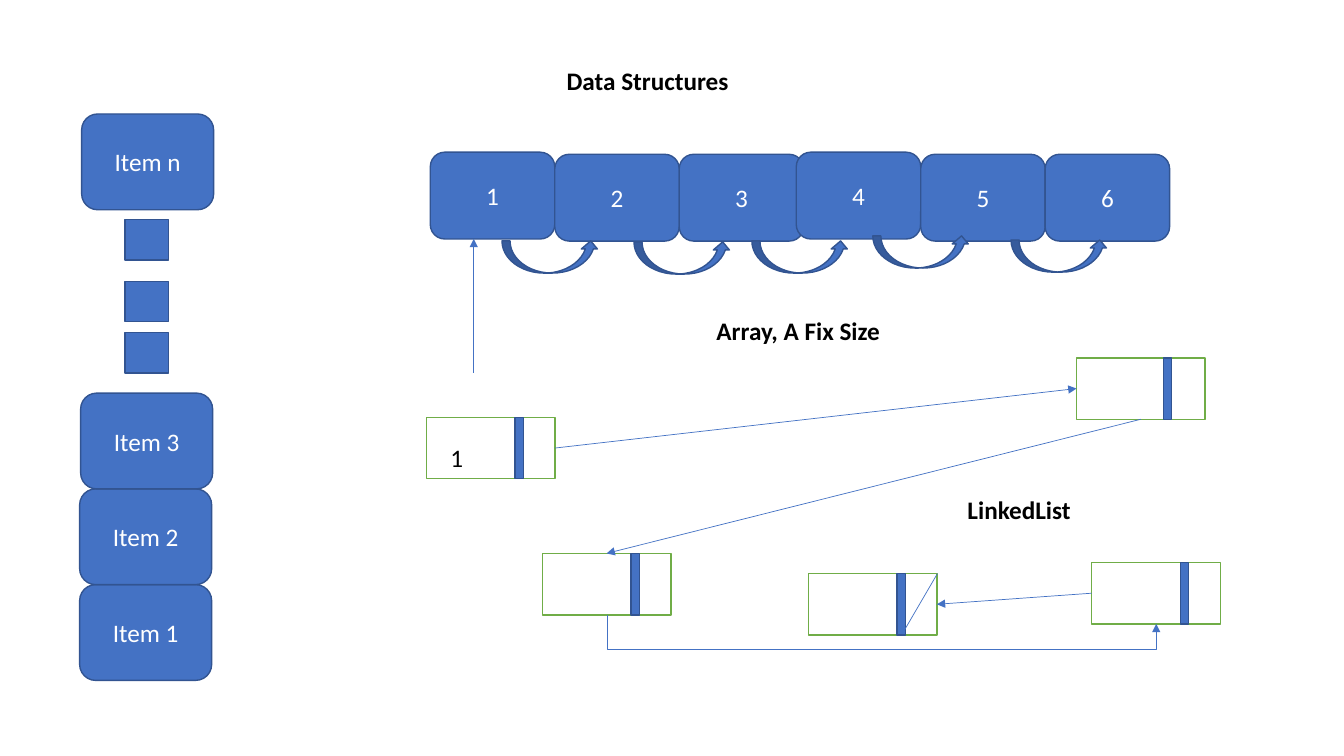
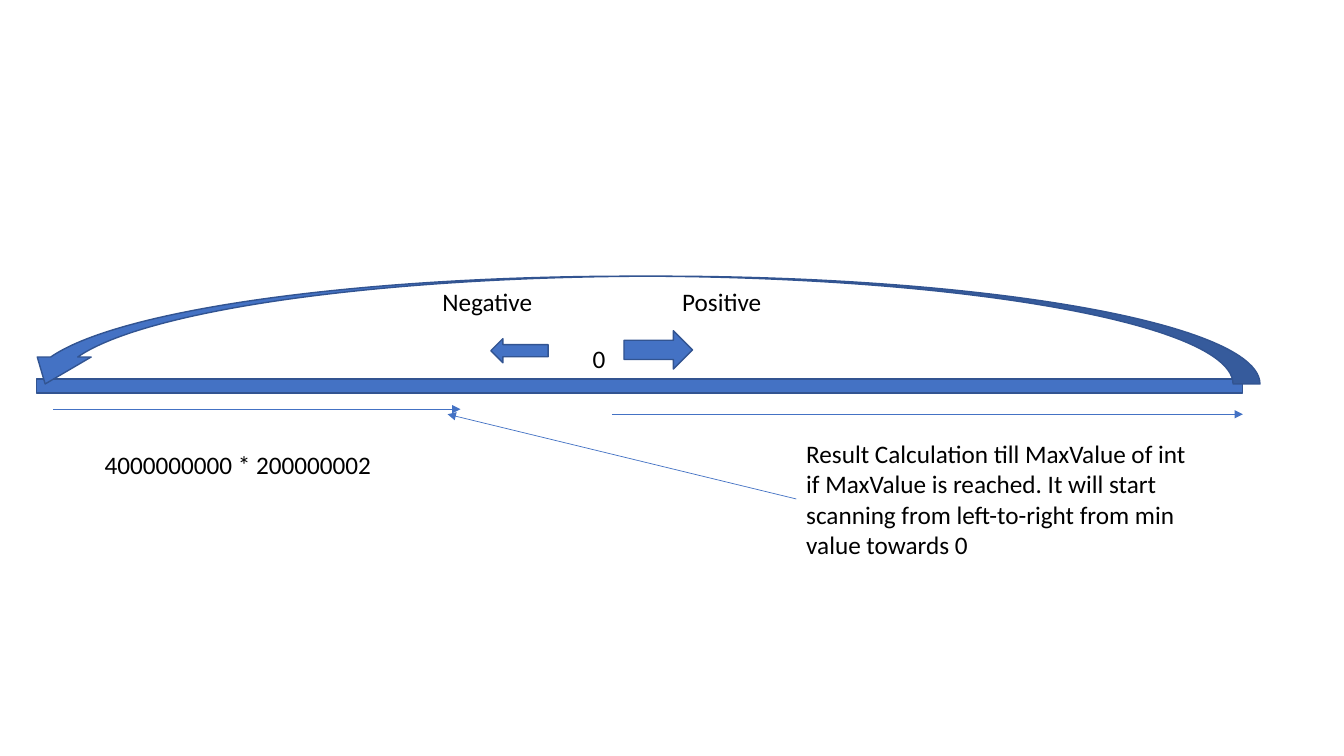
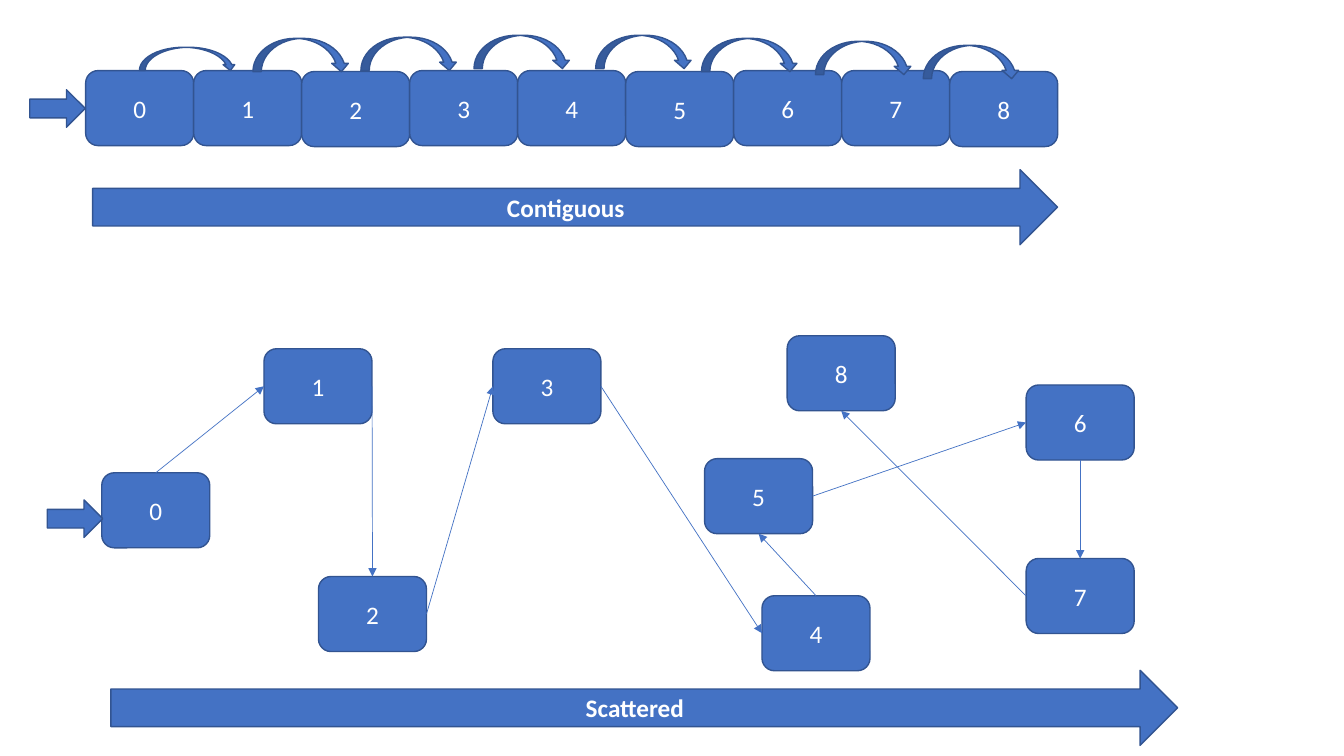
from lxml import etree
from pptx import Presentation
from pptx.dml.color import RGBColor
from pptx.enum.shapes import MSO_CONNECTOR, MSO_SHAPE
from pptx.enum.text import MSO_ANCHOR, PP_ALIGN
from pptx.oxml.ns import qn
from pptx.util import Pt

RECTANGLE = MSO_SHAPE.RECTANGLE
ROUNDED = MSO_SHAPE.ROUNDED_RECTANGLE
RIGHT_ARROW = MSO_SHAPE.RIGHT_ARROW
LEFT_ARROW = MSO_SHAPE.LEFT_ARROW
CURVED_UP = MSO_SHAPE.CURVED_UP_ARROW
CURVED_DOWN = MSO_SHAPE.CURVED_DOWN_ARROW
STRAIGHT = MSO_CONNECTOR.STRAIGHT
ELBOW = MSO_CONNECTOR.ELBOW
CENTER = PP_ALIGN.CENTER
LEFT_ALIGN = PP_ALIGN.LEFT
TOP, LEFT, BOTTOM, RIGHT = range(4)  # connection sites of a box

BLUE = RGBColor(0x44, 0x72, 0xC4)
DARK_BLUE = RGBColor(0x32, 0x54, 0x91)
GREEN = RGBColor(0x70, 0xAD, 0x47)
WHITE = RGBColor(0xFF, 0xFF, 0xFF)
BLACK = RGBColor(0x00, 0x00, 0x00)
FONT = "Calibri"
FONT_SIZE = Pt(18)


def add_block(slide, kind, left, top, width, height, text="", bold=False,
              fill=BLUE, outline=DARK_BLUE):
    shape = slide.shapes.add_shape(kind, Pt(left), Pt(top), Pt(width), Pt(height))
    shape.shadow.inherit = False
    shape.fill.solid()
    shape.fill.fore_color.rgb = fill
    shape.line.color.rgb = outline
    shape.line.width = Pt(1)
    if text:
        shape.text_frame.text = text
        shape.text_frame.vertical_anchor = MSO_ANCHOR.MIDDLE
        paragraph = shape.text_frame.paragraphs[0]
        paragraph.alignment = CENTER
        paragraph.font.name = FONT
        paragraph.font.size = FONT_SIZE
        paragraph.font.bold = bold
        paragraph.font.color.rgb = WHITE
    return shape


def add_link(slide, begin=(0, 0), end=(0, 0), kind=STRAIGHT, arrow=True):
    """Draw a thin connector; its ends may be glued to blocks afterwards."""
    link = slide.shapes.add_connector(
        kind, Pt(begin[0]), Pt(begin[1]), Pt(end[0]), Pt(end[1]))
    link.line.color.rgb = BLUE
    link.line.width = Pt(0.5)
    properties = link._element.spPr
    if arrow:
        etree.SubElement(properties.find(qn("a:ln")), qn("a:tailEnd"), type="triangle")
    etree.SubElement(properties, qn("a:effectLst"))
    return link


presentation = Presentation()
presentation.slide_width = Pt(960)
presentation.slide_height = Pt(540)
title_only, blank = presentation.slide_layouts[5], presentation.slide_layouts[6]

# Slide 1: stack, array and linked list
structures = presentation.slides.add_slide(title_only)
title = structures.shapes.title
title.left, title.top, title.width, title.height = Pt(51.1), Pt(43.2), Pt(823), Pt(28.8)
title.text_frame.text = "Data Structures"
title.text_frame.vertical_anchor = MSO_ANCHOR.TOP
paragraph = title.text_frame.paragraphs[0]
paragraph.alignment = CENTER
paragraph.font.name = FONT
paragraph.font.size = FONT_SIZE
paragraph.font.bold = True
paragraph.font.color.rgb = BLACK

for text, left, top in [("Item 1", 56.9, 417.6), ("Item 2", 56.9, 349.2),
                        ("Item 3", 57.6, 280.8), ("Item n", 58.3, 81.4)]:
    add_block(structures, ROUNDED, left, top, 94.3, 68.4, text)
for top in (237.6, 200.9, 157):
    add_block(structures, RECTANGLE, 89.3, top, 31, 28.8)

CELL_WIDTH = 88.9
for index in range(6):
    group, position = divmod(index, 3)
    left = (307.4, 568.8)[group] + position * CELL_WIDTH
    top = 110.2 if position else 108.7
    add_block(structures, ROUNDED, left, top, CELL_WIDTH, 62, str(index + 1))
for left, top in [(358.6, 172.1), (452.9, 172.8), (537.1, 172.1),
                  (623.5, 168.5), (722.2, 171.4)]:
    add_block(structures, CURVED_UP, left, top, 69.1, 23)
add_link(structures, (338.4, 266.4), (338.4, 170.6))

list_nodes = []
for left, top, divider in [(304.6, 298.1, 63.4), (769, 255.6, 61.9), (387.4, 395.3, 63.4),
                           (779.8, 401.8, 63.4), (577.4, 409.7, 63.4)]:
    list_nodes.append(add_block(structures, RECTANGLE, left, top, 91.8, 43.9,
                                fill=WHITE, outline=GREEN))
    add_block(structures, RECTANGLE, left + divider, top, 5.8, 43.9)
list_sites = [(RIGHT, LEFT), (BOTTOM, TOP), (BOTTOM, BOTTOM), (LEFT, RIGHT)]
for source, target, (source_site, target_site) in zip(list_nodes, list_nodes[1:], list_sites):
    bent = source_site == target_site
    link = add_link(structures, kind=ELBOW if bent else STRAIGHT)
    link.begin_connect(source, source_site)
    link.end_connect(target, target_site)
    if bent:
        # A U-shaped route is an elbow turned by 270 degrees and mirrored
        link.left, link.top, link.width, link.height = Pt(626.4), Pt(246.2), Pt(6.5), Pt(392.4)
        properties = link._element.spPr
        frame = properties.find(qn("a:xfrm"))
        frame.set("rot", "16200000")
        frame.set("flipH", "1")
        adjustments = properties.find(qn("a:prstGeom")).find(qn("a:avLst"))
        etree.SubElement(adjustments, qn("a:gd"), name="adj1", fmla="val 383400")
add_link(structures, (669.6, 409.7), (644.4, 452.9), arrow=False)

# Slide 2: integer overflow on the number line
overflow = presentation.slides.add_slide(blank)
add_block(overflow, RECTANGLE, 25.9, 270.7, 861.8, 10.1)
add_block(overflow, LEFT_ARROW, 350.6, 241.9, 41, 17.3)
add_block(overflow, RIGHT_ARROW, 445.7, 236.2, 49, 27.4)
wrap_arrow = add_block(overflow, CURVED_DOWN, 13, 197.3, 887, 77)
wrap_arrow._element.spPr.find(qn("a:xfrm")).set("flipH", "1")
for begin, end in [((437, 295.9), (887.8, 295.9)), ((38.2, 292.3), (329, 292.3)),
                   ((568.8, 356.4), (319.7, 295.9))]:
    add_link(overflow, begin, end)

# Slide 3: contiguous and scattered memory
memory = presentation.slides.add_slide(blank)
BLOCK_WIDTH, BLOCK_HEIGHT = 77.15, 53.6
for index in range(9):
    top = 51.1 if index % 3 == 2 else 50.4
    add_block(memory, ROUNDED, 61.2 + index * BLOCK_WIDTH, top,
              BLOCK_WIDTH, BLOCK_HEIGHT, str(index))

scattered_blocks = []
for index, (left, top) in enumerate([
        (72.7, 337.7), (188.6, 249.1), (227.5, 411.8), (352.1, 249.1), (544.3, 425.5),
        (503.3, 327.6), (733, 275), (733, 398.9), (562.3, 239.8)]):
    scattered_blocks.append(add_block(memory, ROUNDED, left, top,
                                      BLOCK_WIDTH, BLOCK_HEIGHT, str(index)))
scattered_sites = [(TOP, LEFT), (RIGHT, TOP), (RIGHT, LEFT), (RIGHT, LEFT),
                   (TOP, BOTTOM), (RIGHT, LEFT), (BOTTOM, TOP), (LEFT, BOTTOM)]
for source, target, (source_site, target_site) in zip(
        scattered_blocks, scattered_blocks[1:], scattered_sites):
    link = add_link(memory)
    link.begin_connect(source, source_site)
    link.end_connect(target, target_site)

for text, left, top, width in [("Contiguous", 66.2, 121.2, 689.2),
                               ("Scattered", 79.2, 478.8, 762)]:
    add_block(memory, RIGHT_ARROW, left, top, width, BLOCK_HEIGHT, text, bold=True)
for left, top in [(21.3, 64.1), (33.8, 357.1)]:
    add_block(memory, RIGHT_ARROW, left, top, 39.6, 26.8)
for left, top, height in [
        (99.6, 33.8, 16.6), (180.7, 27.4, 23.8), (257.8, 26.6, 23.8), (338.6, 25.2, 23.8),
        (425.5, 25.2, 23.8), (501.1, 27.4, 23.8), (582.5, 29.5, 23.8), (659.5, 32.4, 23.8)]:
    add_block(memory, CURVED_DOWN, left, top, 69.1, height)

# Free labels
for slide, text, left, top, width, height, bold, alignment in [
        (structures, "Array, A Fix Size", 314.6, 221.8, 511.2, 28.8, True, CENTER),
        (structures, "LinkedList", 684, 349.2, 187.2, 28.8, True, LEFT_ALIGN),
        (structures, "1", 314.6, 312.5, 31.7, 28.8, False, LEFT_ALIGN),
        (overflow, "0", 416.2, 241.9, 30.2, 28.8, False, LEFT_ALIGN),
        (overflow, "Negative", 308.9, 200.9, 95, 28.8, False, LEFT_ALIGN),
        (overflow, "Positive", 480.2, 200.9, 95, 28.8, False, LEFT_ALIGN),
        (overflow, "4000000000 * 200000002", 67.7, 317.5, 724.3, 72.7, False, LEFT_ALIGN),
        (overflow, "Result Calculation till MaxValue of int if MaxValue is reached. "
                   "It will start scanning from left-to-right from min value towards 0",
         568.8, 309.6, 295.2, 94.3, False, LEFT_ALIGN)]:
    label = slide.shapes.add_textbox(Pt(left), Pt(top), Pt(width), Pt(height))
    label.text_frame.word_wrap = True
    label.text_frame.text = text
    paragraph = label.text_frame.paragraphs[0]
    paragraph.alignment = alignment
    paragraph.font.name = FONT
    paragraph.font.size = FONT_SIZE
    paragraph.font.bold = bold
    paragraph.font.color.rgb = BLACK

presentation.save("out.pptx")
